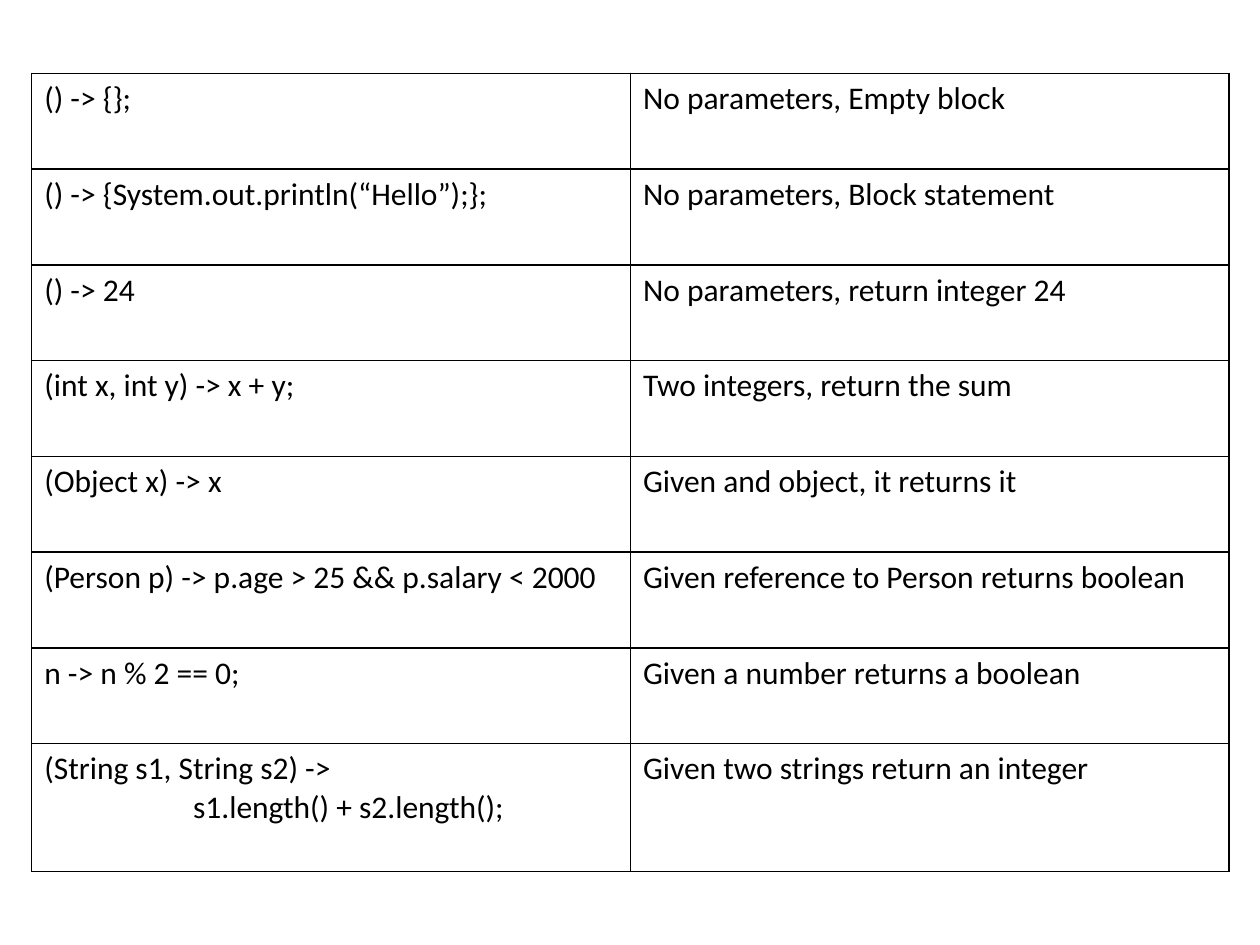
import lxml.etree
import pptx
import pptx.dml.color
import pptx.oxml.ns
import pptx.util

Cm = pptx.util.Cm
Pt = pptx.util.Pt
qn = pptx.oxml.ns.qn

COLORS = {"text": "000000", "border": "000000"}


def write_paragraph(paragraph, text, *, font, size, color, indent=0):
    """Write one formatted line of text, indented from the left."""
    run = paragraph.add_run()
    run.text = text
    run.font.name = font
    run.font.size = Pt(size)
    run.font.color.rgb = pptx.dml.color.RGBColor.from_string(color)
    if indent:
        properties = paragraph._p.get_or_add_pPr()
        properties.set("marL", str(Cm(indent)))
        properties.set("indent", "0")


class SlideBuilder:
    font = "Calibri"
    size = 18
    border_width = 1
    continuation_indent = 3

    def __init__(self, slide):
        self.slide = slide

    def border(self, cell):
        properties = cell._tc.get_or_add_tcPr()
        for side in ("a:lnL", "a:lnR", "a:lnT", "a:lnB"):
            line = lxml.etree.SubElement(
                properties, qn(side), w=str(Pt(self.border_width)))
            fill = lxml.etree.SubElement(line, qn("a:solidFill"))
            lxml.etree.SubElement(fill, qn("a:srgbClr"), val=COLORS["border"])

    def cell(self, cell, text):
        self.border(cell)
        cell.fill.background()
        frame = cell.text_frame
        for number, line in enumerate(text.split("\n")):
            paragraph = frame.add_paragraph() if number else frame.paragraphs[0]
            write_paragraph(paragraph, line, font=self.font, size=self.size,
                            color=COLORS["text"],
                            indent=self.continuation_indent if number else 0)

    def table(self, rows, left, top, column_width, row_heights):
        columns = len(rows[0])
        table = self.slide.shapes.add_table(
            len(rows), columns, Cm(left), Cm(top),
            Cm(column_width * columns), Cm(sum(row_heights))).table
        table.first_row = False
        table.horz_banding = False
        for column in table.columns:
            column.width = Cm(column_width)
        for row, height, texts in zip(table.rows, row_heights, rows):
            row.height = Cm(height)
            for cell, text in zip(row.cells, texts):
                self.cell(cell, text)


# Lambda expressions and their meanings
LAMBDAS = [
    ("() -> {};", "No parameters, Empty block"),
    ("() -> {System.out.println(“Hello”);};", "No parameters, Block statement"),
    ("() -> 24", "No parameters, return integer 24"),
    ("(int x, int y) -> x + y;", "Two integers, return the sum"),
    ("(Object x) -> x", "Given and object, it returns it"),
    ("(Person p) -> p.age > 25 && p.salary < 2000",
     "Given reference to Person returns boolean"),
    ("n -> n % 2 == 0;", "Given a number returns a boolean"),
    ("(String s1, String s2) -> \ns1.length() + s2.length();",
     "Given two strings return an integer"),
]

# Presentation with one blank slide
presentation = pptx.Presentation()
presentation.slide_width = Cm(25.4)
presentation.slide_height = Cm(19.05)
slide = presentation.slides.add_slide(presentation.slide_layouts[6])

# Table: equal rows, with a taller last row for the two-line expression
row_heights = [1.93] * (len(LAMBDAS) - 1) + [2.58]
SlideBuilder(slide).table(LAMBDAS, left=0.64, top=1.48, column_width=12.07,
                          row_heights=row_heights)

presentation.save("out.pptx")
